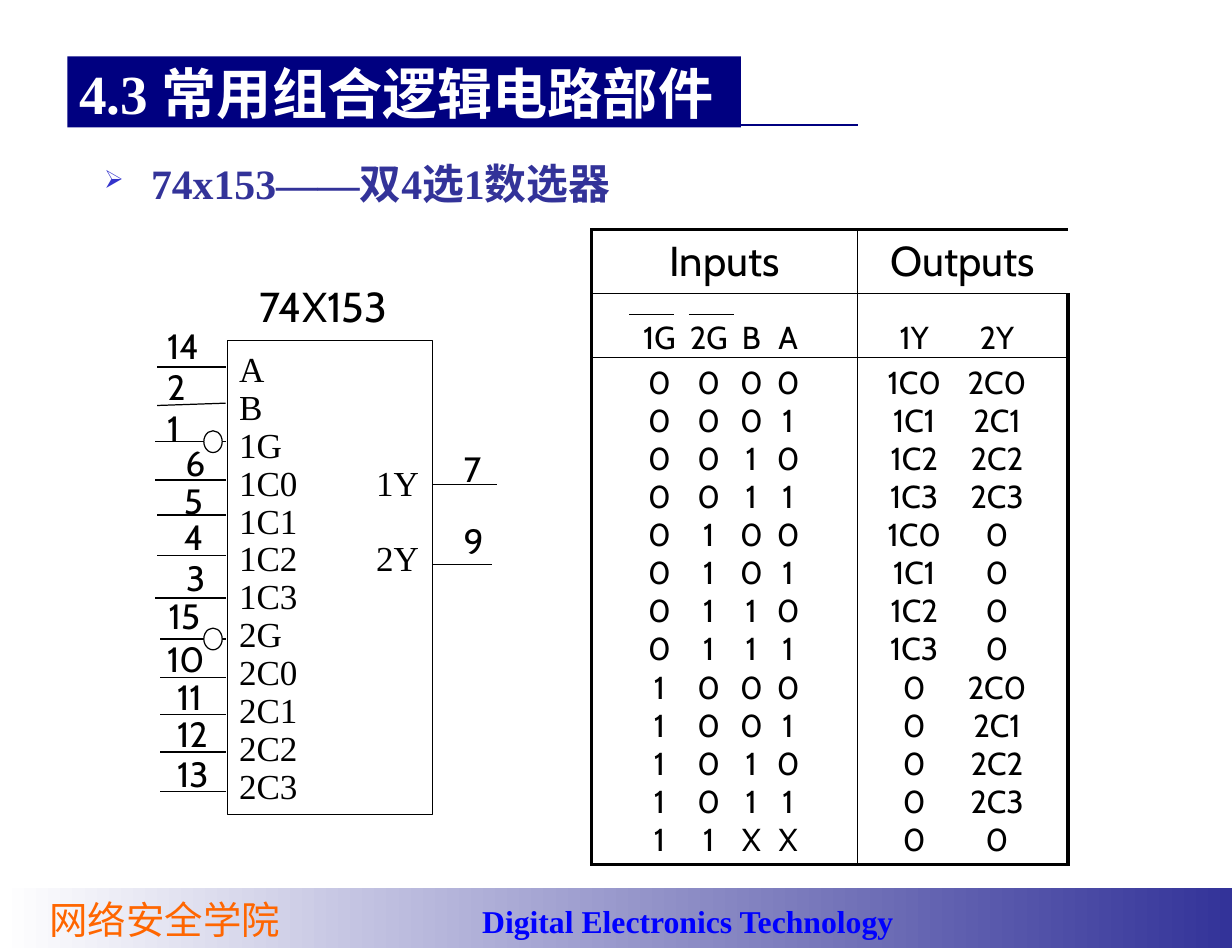
from lxml.etree import SubElement as Sub
from pptx import Presentation
from pptx.dml.color import RGBColor as Rgb
from pptx.enum.shapes import MSO_CONNECTOR as Conn, MSO_SHAPE as Kind
from pptx.enum.text import MSO_ANCHOR as Anchor, PP_ALIGN as Align
from pptx.oxml.ns import qn
from pptx.util import Pt

BLACK, NAVY = "000000", "000080"
TIMES, CABIN, NOTO = "Times New Roman", "Cabin", "Noto Sans CJK SC"

PINS = [
    ("14", -36, -9.4, -42, 15.8), ("2", -36, 15.1, -42, 38.2),
    ("1", -36, 39.6, -43, 60.5), ("6", -25, 60.5, -43, 83.5),
    ("5", -26, 82.8, -42, 104.4), ("4", -26, 104.4, -42, 128.9),
    ("3", -24.5, 128.9, -43, 154.1), ("15", -35, 151.9, -40, 178.6),
    ("10", -36, 177.8, -40, 201.6), ("11", -30, 200.2, -40, 223.9),
    ("12", -30, 222.5, -40, 246.2), ("13", -30, 246.2, -40, 270),
]
PORTS = [("7", 64.1, 86.4, 161.3), ("9", 107.3, 133.9, 158.4)]
NAMES = ["A", "B", "1G", "1C0\t1Y", "1C1", "1C2\t2Y", "1C3",
         "2G", "2C0", "2C1", "2C2", "2C3"]
TRUTH = [
    "1G 2G B A 1Y 2Y",
    "0 0 0 0 1C0 2C0", "0 0 0 1 1C1 2C1", "0 0 1 0 1C2 2C2", "0 0 1 1 1C3 2C3",
    "0 1 0 0 1C0 0", "0 1 0 1 1C1 0", "0 1 1 0 1C2 0", "0 1 1 1 1C3 0",
    "1 0 0 0 0 2C0", "1 0 0 1 0 2C1", "1 0 1 0 0 2C2", "1 0 1 1 0 2C3",
    "1 1 X X 0 0",
]


def paint(color, code):
    """Set a colour from a hex string."""
    color.rgb = Rgb.from_string(code)


def write(frame, text, size=19, font=CABIN, color=BLACK, bold=False,
          align=Align.LEFT, lead=None, inset=(0, 0), anchor=Anchor.TOP, wrap=True):
    """Fill a text frame, one paragraph per line of text."""
    frame.word_wrap = wrap
    frame.vertical_anchor = anchor
    frame.margin_left = frame.margin_right = Pt(inset[0])
    frame.margin_top = frame.margin_bottom = Pt(inset[1])
    for i, line in enumerate(text.split("\n")):
        para = frame.paragraphs[0] if i == 0 else frame.add_paragraph()
        para.alignment = align
        if lead:
            para.line_spacing = Pt(lead)
        run = para.add_run()
        run.text = line
        run.font.size, run.font.bold, run.font.name = Pt(size), bold, font
        paint(run.font.color, color)
        Sub(run.font._element, qn("a:ea"), typeface=NOTO)


def label(slide, box, text, **look):
    """Add a text box."""
    frame = slide.shapes.add_textbox(*map(Pt, box)).text_frame
    write(frame, text, **look)
    return frame


def block(slide, box, kind=Kind.RECTANGLE, fill=None, line=None):
    """Add a flat shape."""
    shape = slide.shapes.add_shape(kind, *map(Pt, box))
    shape.shadow.inherit = False
    if fill:
        shape.fill.solid()
        paint(shape.fill.fore_color, fill)
    else:
        shape.fill.background()
    if line:
        paint(shape.line.color, line)
        shape.line.width = Pt(0.75)
    else:
        shape.line.fill.background()
    return shape


def wire(slide, x1, y1, x2, y2, color=BLACK):
    """Add a thin straight line."""
    line = slide.shapes.add_connector(Conn.STRAIGHT, *map(Pt, (x1, y1, x2, y2)))
    paint(line.line.color, color)
    line.line.width = Pt(0.75)
    Sub(line._element.spPr, qn("a:effectLst"))


def footer(slide, box):
    """Draw the gradient band with its two captions."""
    x, y, w, h = box
    band = block(slide, box, fill="FFFFFF")
    band.fill.gradient()
    band.fill.gradient_angle = 0
    for stop, code, place in zip(band.fill.gradient_stops, ("FFFFFF", "333399"), (0, 1)):
        paint(stop.color, code)
        stop.position = place
    label(slide, (x + 14.4, y + 5, 168.5, 24), "网络安全学院", size=23, font=NOTO,
          color="FF6600", align=Align.CENTER, wrap=False)
    label(slide, (x + 281.5, y + 5, 263.5, 30), "Digital Electronics Technology",
          font=TIMES, color="0000FF", bold=True, inset=(7.2, 3.6), wrap=False)


def heading(slide, box):
    """Draw the title bar, its rule and the bulleted topic."""
    x, y, w, h = box
    wire(slide, x + 162.7, y + 41, x + 473, y + 41, NAVY)
    bar = block(slide, box, fill=NAVY)
    write(bar.text_frame, "4.3 常用组合逻辑电路部件", size=33, font=TIMES, color="FFFFFF",
          bold=True, inset=(7.2, 3.6), anchor=Anchor.MIDDLE)
    topic = label(slide, (x + 15, y + 56.9, 432, 47.5), "74x153——双4选1数选器", size=25,
                  font=TIMES, color="333399", bold=True, inset=(7.2, 3.6))
    props = topic.paragraphs[0]._p.get_or_add_pPr()
    props.set("marL", str(Pt(28)))
    props.set("indent", str(-Pt(28)))
    Sub(Sub(props, qn("a:buClr")), qn("a:srgbClr"), val="3333CC")
    Sub(props, qn("a:buSzPct"), val="60000")
    Sub(props, qn("a:buChar"), char="➢")


def chip(slide, box):
    """Draw the chip body with its pins, bubbles and numbers."""
    x, y, w, h = box
    label(slide, (x - 17, y - 36, 149, 32), "74X153", size=25, align=Align.CENTER)
    body = block(slide, box, line=BLACK)
    write(body.text_frame, "\n".join(NAMES), size=21, font=TIMES, lead=22.7,
          inset=(7.2, 6.5))
    for para in body.text_frame.paragraphs:
        tabs = Sub(para._p.get_or_add_pPr(), qn("a:tabLst"))
        Sub(tabs, qn("a:tab"), pos=str(Pt(107.7)), algn="r")
    for name, left, top, start, level in PINS:
        tilt = 0.7 if name == "2" else 0
        wire(slide, x + start, y + level + tilt, x - 1, y + level - tilt)
        label(slide, (x + left, y + top, 30, 26), name, size=21)
        if name in ("1", "15"):
            block(slide, (x - 14, y + level - 6.5, 11, 13), Kind.OVAL, "FFFFFF", BLACK)
    for name, top, level, end in PORTS:
        wire(slide, x + w, y + level, x + end, y + level)
        label(slide, (x + 141.5, y + top, 24, 26), name, size=21)


def edge(cell, widths):
    """Set the left, right, top and bottom borders; zero hides one."""
    props = cell._tc.get_or_add_tcPr()
    for i, (side, width) in enumerate(zip("LRTB", widths)):
        line = Sub(props, qn("a:ln" + side), w=str(Pt(width)))
        if width:
            Sub(Sub(line, qn("a:solidFill")), qn("a:srgbClr"), val=BLACK)
        else:
            Sub(line, qn("a:noFill"))
        props.insert(i, line)


def truth(slide, box):
    """Draw the truth table with overlined enable inputs."""
    x, y, w, h = box
    wide = [56, 28, 23, 52, 55, 71]
    tall = [38.2, 38.2, 26.8] + [22.8] * 11 + [25.5]
    pads = [(25, 0), (0, 0), (0, 0), (0, 31), (13, 0), (0, 14)]
    rows = [["Inputs", "", "", "", "Outputs", ""]] + [row.split() for row in TRUTH]
    grid = slide.shapes.add_table(len(rows), len(wide), *map(Pt, box)).table
    grid.first_row = grid.horz_banding = False
    for col, size in zip(grid.columns, wide):
        col.width = Pt(size)
    for row, size in zip(grid.rows, tall):
        row.height = Pt(size)
    grid.cell(0, 0).merge(grid.cell(0, 3))
    grid.cell(0, 4).merge(grid.cell(0, 5))
    last = len(rows) - 1
    for r, row in enumerate(rows):
        for c, text in enumerate(row):
            cell = grid.cell(r, c)
            cell.margin_left, cell.margin_right = map(Pt, pads[c] if r else (0, 0))
            cell.margin_top = Pt(4 if r == 2 else 0)
            cell.margin_bottom = 0
            cell.vertical_anchor = (Anchor.MIDDLE, Anchor.BOTTOM)[r] if r < 2 else Anchor.TOP
            cell.fill.background()
            edge(cell, ({0: 2.25, 4: 1}.get(c, 0), {3: 1, 5: 2.25}.get(c, 0),
                        {0: 2.25, 1: 1, 2: 1}.get(r, 0),
                        {0: 1, 1: 1, last: 2.25}.get(r, 0)))
            if text:
                para = cell.text_frame.paragraphs[0]
                para.alignment = Align.CENTER
                if r:
                    para.line_spacing = Pt(22.8)
                run = para.add_run()
                run.text = text
                run.font.size, run.font.name = Pt(19 if r else 25), CABIN
                paint(run.font.color, BLACK)
    for left in (22.3, 58):
        wire(slide, x + left, y + 50.8, x + left + 27, y + 50.8)


def main():
    """Build and save the slide."""
    deck = Presentation()
    deck.slide_width, deck.slide_height = Pt(737.28), Pt(567.36)
    slide = deck.slides.add_slide(deck.slide_layouts[6])
    footer(slide, (0, 531.4, 737.28, 36))
    heading(slide, (40.3, 33.8, 403.2, 42.5))
    chip(slide, (136, 203.8, 123, 283.7))
    truth(slide, (354.2, 137.5, 285, 379.5))
    deck.save("out.pptx")


if __name__ == "__main__":
    main()
